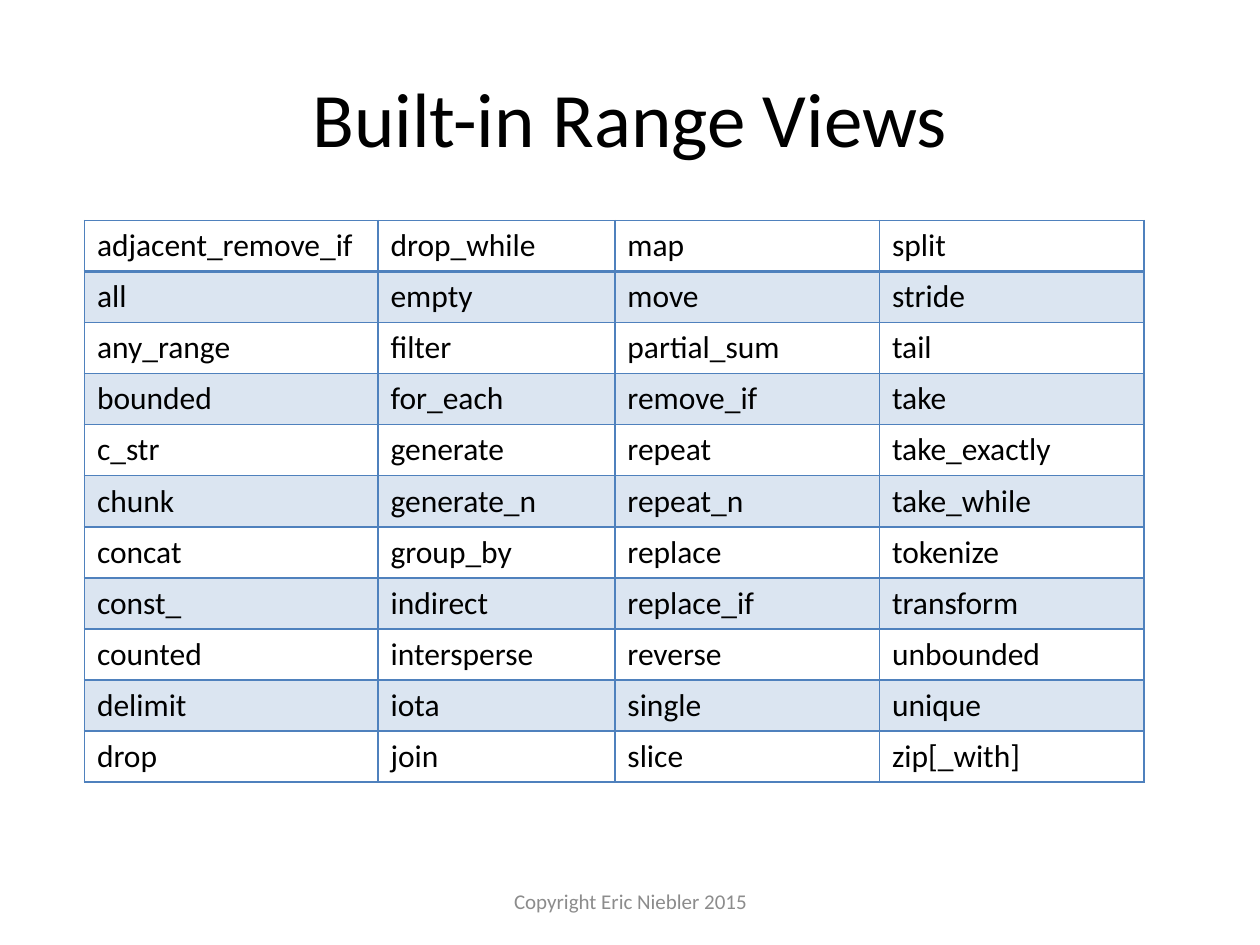
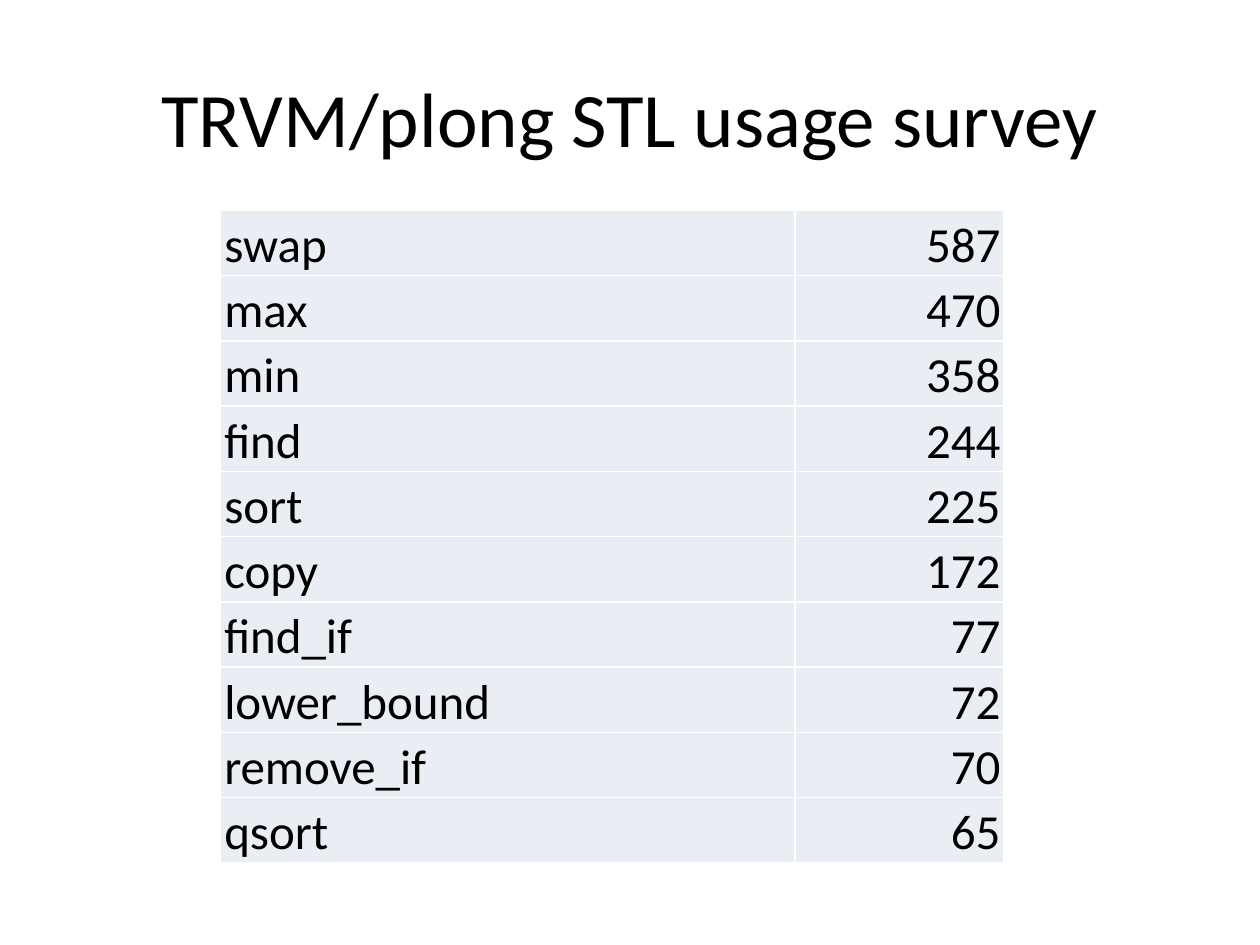
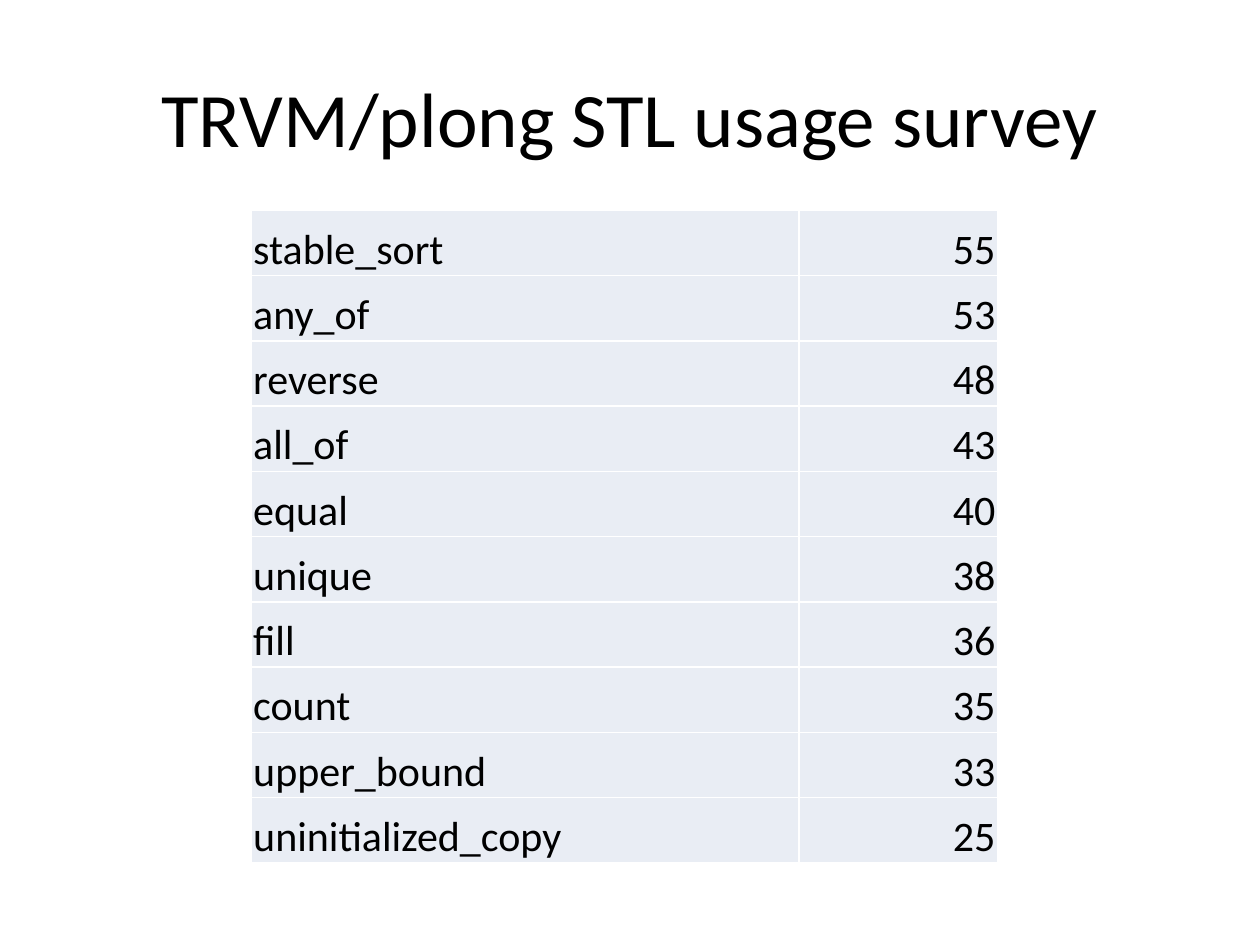
from lxml.etree import SubElement
from pptx import Presentation
from pptx.dml.color import RGBColor
from pptx.enum.text import MSO_ANCHOR as ANCHOR, PP_ALIGN as ALIGN
from pptx.oxml.ns import qn
from pptx.util import Inches, Pt

FONT = "Calibri"
COLORS = {
    "text": "000000",
    "footer": "8C8C8C",
    "accent": "4F81BD",
    "cell": "E9EDF4",
    "white": "FFFFFF",
}

VIEWS = [
    ("adjacent_remove_if", "drop_while", "map", "split"),
    ("all", "empty", "move", "stride"),
    ("any_range", "filter", "partial_sum", "tail"),
    ("bounded", "for_each", "remove_if", "take"),
    ("c_str", "generate", "repeat", "take_exactly"),
    ("chunk", "generate_n", "repeat_n", "take_while"),
    ("concat", "group_by", "replace", "tokenize"),
    ("const_", "indirect", "replace_if", "transform"),
    ("counted", "intersperse", "reverse", "unbounded"),
    ("delimit", "iota", "single", "unique"),
    ("drop", "join", "slice", "zip[_with]"),
]
TOP_USAGE = [
    ("swap", 587), ("max", 470), ("min", 358), ("find", 244), ("sort", 225),
    ("copy", 172), ("find_if", 77), ("lower_bound", 72), ("remove_if", 70), ("qsort", 65),
]
NEXT_USAGE = [
    ("stable_sort", 55), ("any_of", 53), ("reverse", 48), ("all_of", 43), ("equal", 40),
    ("unique", 38), ("fill", 36), ("count", 35), ("upper_bound", 33),
    ("uninitialized_copy", 25),
]


class Deck:
    def __init__(self):
        self.prs = Presentation()
        self.prs.slide_width, self.prs.slide_height = Inches(10), Inches(7.5)
        self.s = None

    def slide(self, title):
        self.s = self.prs.slides.add_slide(self.prs.slide_layouts[6])
        self.text(title, 0.5, 0.3, 9, 1.25, 44, "text")

    def style(self, p, size, color, align):
        p.alignment = align
        p.font.name, p.font.size = FONT, Pt(size)
        p.font.color.rgb = RGBColor.from_string(COLORS[color])

    def text(self, text, x, y, w, h, size, color):
        tf = self.s.shapes.add_textbox(Inches(x), Inches(y), Inches(w), Inches(h)).text_frame
        tf.word_wrap = True
        tf.vertical_anchor = ANCHOR.MIDDLE
        p = tf.paragraphs[0]
        p.text = text
        self.style(p, size, color, ALIGN.CENTER)

    def footer(self, text):
        self.text(text, 3.42, 6.95, 3.17, 0.4, 12, "footer")

    def table(self, rows, x, y, widths, height, size, margins, anchor):
        table = self.s.shapes.add_table(
            len(rows), len(widths), Inches(x), Inches(y), Inches(sum(widths)), Inches(height)
        ).table
        table.first_row = table.horz_banding = False
        for column, width in zip(table.columns, widths):
            column.width = Inches(width)
        for i, values in enumerate(rows):
            table.rows[i].height = Inches(height / len(rows))
            for cell, value in zip(table.rows[i].cells, values):
                cell.vertical_anchor = anchor
                (cell.margin_left, cell.margin_top,
                 cell.margin_right, cell.margin_bottom) = map(Inches, margins)
                p = cell.text_frame.paragraphs[0]
                p.text = str(value)
                align = ALIGN.RIGHT if isinstance(value, int) else ALIGN.LEFT
                self.style(p, size, "text", align)
        return table

    def borders(self, cell, color, top=1, bottom=1):
        tcPr = cell._tc.get_or_add_tcPr()
        for side, width in (("L", 1), ("R", 1), ("T", top), ("B", bottom)):
            ln = SubElement(tcPr, qn(f"a:ln{side}"), w=str(Pt(width)))
            fill = SubElement(ln, qn("a:solidFill"))
            SubElement(fill, qn("a:srgbClr"), val=COLORS[color])

    def fill(self, cell, color, alpha=100):
        cell.fill.solid()
        cell.fill.fore_color.rgb = RGBColor.from_string(COLORS[color])
        if alpha < 100:
            clr = cell._tc.tcPr.find(f"{qn('a:solidFill')}/{qn('a:srgbClr')}")
            SubElement(clr, qn("a:alpha"), val=str(alpha * 1000))

    def views_table(self, rows):
        table = self.table(rows, 0.67, 1.75, (2.33, 1.88, 2.1, 2.1), 4.46, 18,
                           (0.1, 0.05, 0.1, 0.05), ANCHOR.TOP)
        for i, row in enumerate(table.rows):
            for cell in row.cells:
                self.borders(cell, "accent", 2 if i == 1 else 1, 2 if i == 0 else 1)
                if i % 2:
                    self.fill(cell, "accent", 20)
                else:
                    cell.fill.background()

    def usage_table(self, rows, x, widths, size, margin):
        table = self.table(rows, x, 1.67, widths, 5.18, size,
                           (margin, margin, margin, 0), ANCHOR.BOTTOM)
        for cell in table.iter_cells():
            self.borders(cell, "white")
            self.fill(cell, "cell")


def main():
    deck = Deck()
    deck.slide("Built-in Range Views")
    deck.views_table(VIEWS)
    deck.footer("Copyright Eric Niebler 2015")

    for rows, x, widths, size, margin in (
        (TOP_USAGE, 1.75, (4.56, 1.66), 28, 0.03),
        (NEXT_USAGE, 1.99, (4.35, 1.58), 24, 0.02),
    ):
        deck.slide("TRVM/plong STL usage survey")
        deck.usage_table(rows, x, widths, size, margin)
    deck.prs.save("out.pptx")


if __name__ == "__main__":
    main()
